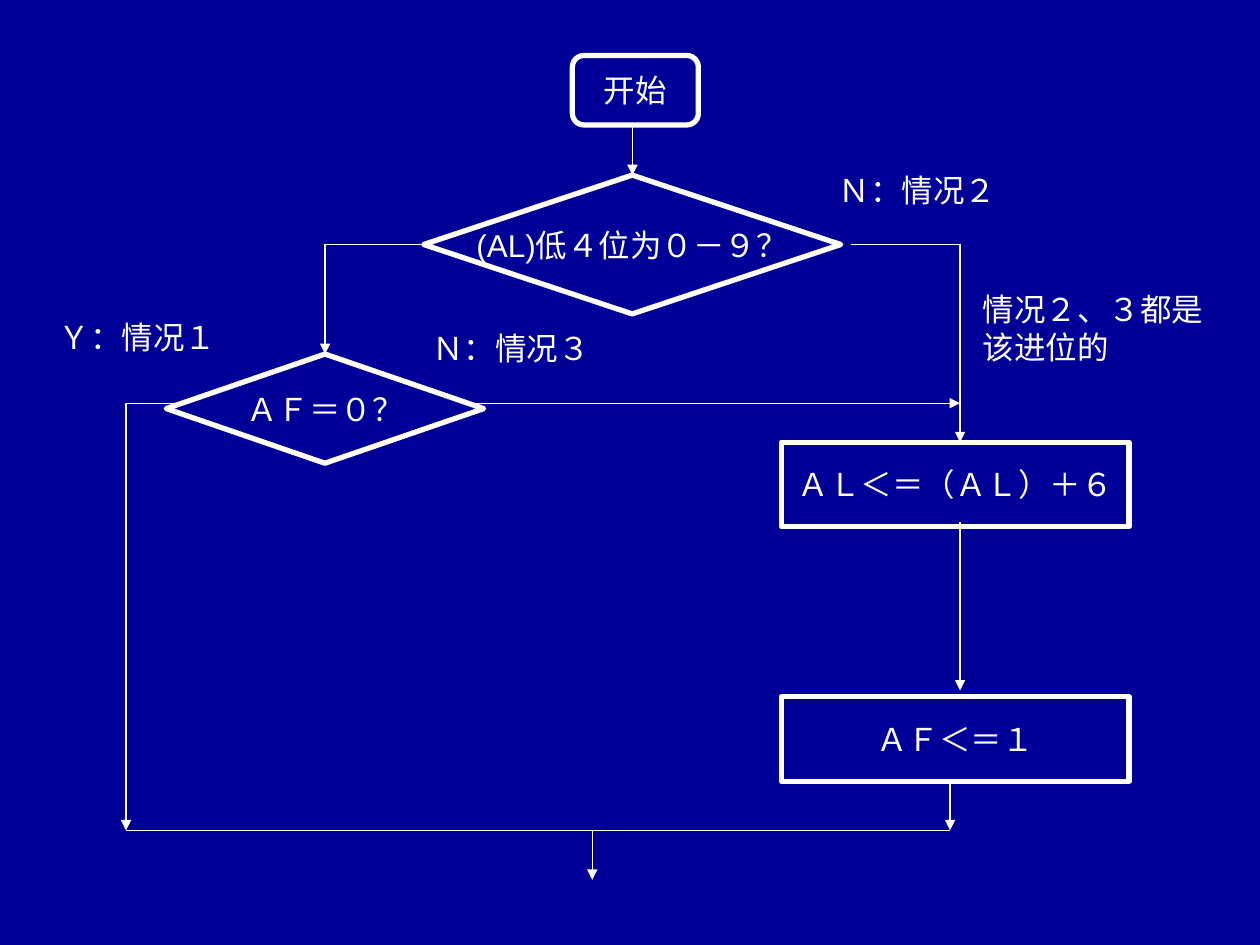
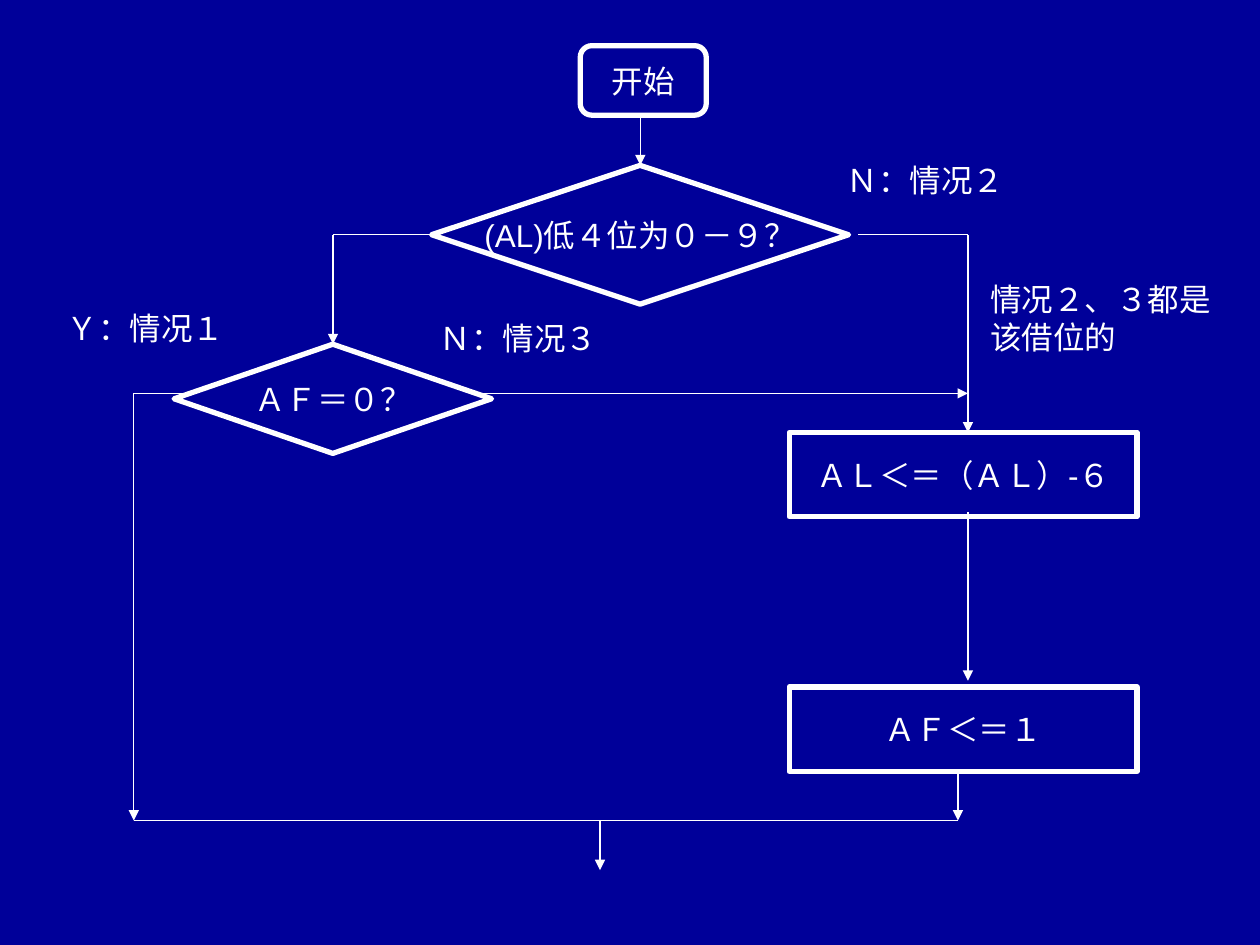
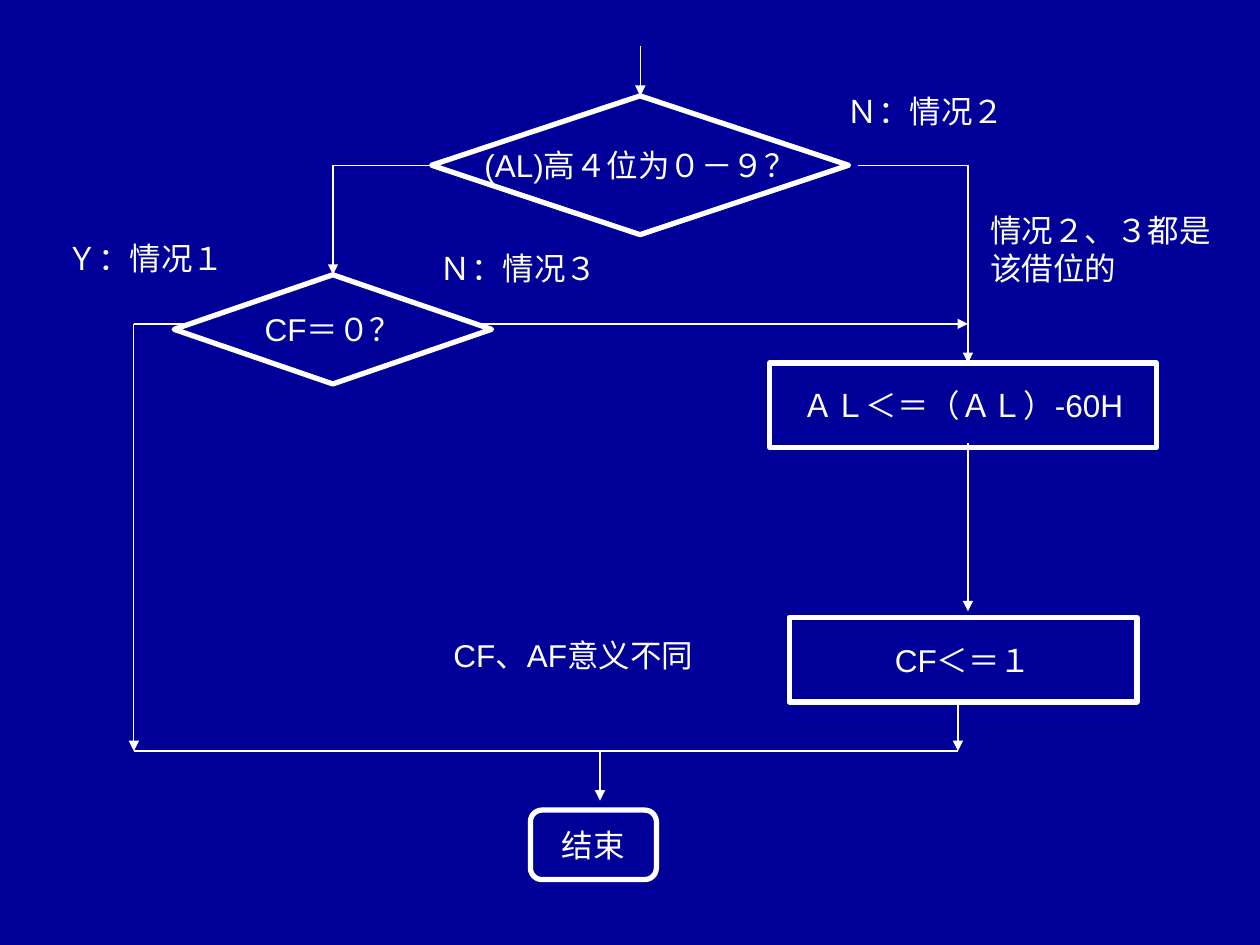
from dataclasses import dataclass
from typing import Any, NamedTuple

from lxml import etree
from pptx import Presentation
from pptx.dml.color import RGBColor
from pptx.enum.shapes import MSO_CONNECTOR, MSO_SHAPE
from pptx.enum.text import MSO_ANCHOR, MSO_AUTO_SIZE, PP_ALIGN
from pptx.oxml.ns import qn
from pptx.util import Pt

TERMINAL = MSO_SHAPE.FLOWCHART_ALTERNATE_PROCESS
DECISION = MSO_SHAPE.FLOWCHART_DECISION
PROCESS = MSO_SHAPE.FLOWCHART_PROCESS
STRAIGHT = MSO_CONNECTOR.STRAIGHT
MIDDLE, TOP = MSO_ANCHOR.MIDDLE, MSO_ANCHOR.TOP
CENTER, LEFT = PP_ALIGN.CENTER, PP_ALIGN.LEFT
FIT_SHAPE, FIXED = MSO_AUTO_SIZE.SHAPE_TO_FIT_TEXT, MSO_AUTO_SIZE.NONE
BLANK_LAYOUT = 6


@dataclass(frozen=True)
class Theme:
    background: RGBColor = RGBColor(0x00, 0x00, 0x99)
    ink: RGBColor = RGBColor(0xFF, 0xFF, 0xFF)
    font: str = "Arial"
    text_size: float = 18
    outline: float = 3
    arrow_line: float = 0.75


THEME = Theme()


class Node(NamedTuple):
    kind: MSO_SHAPE
    left: float
    top: float
    width: float
    height: float
    text: str


class Label(NamedTuple):
    left: float
    top: float
    width: float
    lines: tuple[str, ...]


class Route(NamedTuple):
    """A run of straight segments through points."""
    points: tuple[tuple[float, float], ...]
    arrow: bool = True


@dataclass(frozen=True)
class Flowchart:
    """The wording and placing of one decimal-adjust flowchart."""
    shift: tuple[float, float]
    digit_test: str
    flag_test: str
    adjust: str
    set_flag: str
    reason: str
    adjust_width: float = 198.7
    extra_nodes: tuple[Node, ...] = ()
    extra_labels: tuple[Label, ...] = ()


# Columns and rows shared by all the flowcharts
ENTRY_X, FLAG_X, ADJUST_X = 361.4, 185.8, 548.6
MERGE_LEFT, MERGE_RIGHT, EXIT_X = 72, 542.9, 338.4
DIGIT_TOP, DIGIT_Y, FLAG_TOP, FLAG_Y = 100.1, 139.7, 202.3, 230.4
ADJUST_TOP, SET_TOP, MERGE_Y = 252.7, 398.2, 474.5
BOX_WIDTH, BOX_HEIGHT, BOX_CENTER = 198.7, 48.2, 545.8
LABEL_WIDTH, LABEL_HEIGHT = 104.4, 28.8

ROUTES = (
    Route(((ENTRY_X, 71.4), (ENTRY_X, DIGIT_TOP))),
    Route(((241.9, DIGIT_Y), (FLAG_X, DIGIT_Y), (FLAG_X, FLAG_TOP))),
    Route(((486, DIGIT_Y), (ADJUST_X, DIGIT_Y), (ADJUST_X, ADJUST_TOP))),
    Route(((270.7, FLAG_Y), (ADJUST_X, FLAG_Y))),
    Route(((ADJUST_X, 298.3), (ADJUST_X, 394.6))),
    Route(((100.8, FLAG_Y), (MERGE_LEFT, FLAG_Y), (MERGE_LEFT, MERGE_Y))),
    Route(((MERGE_RIGHT, 445.8), (MERGE_RIGHT, MERGE_Y))),
    Route(((MERGE_RIGHT, MERGE_Y), (MERGE_LEFT, MERGE_Y)), arrow=False),
    Route(((EXIT_X, MERGE_Y), (EXIT_X, 502.8))),
)

START = Node(TERMINAL, 327.1, 31.7, 72, 39.7, "开始")
END = Node(TERMINAL, 298.6, 508.2, 72, 39.7, "结束")

FLOWCHARTS = (
    Flowchart((0, 0), "(AL)低４位为０－９？", "ＡＦ＝０？", "ＡＬ＜＝（ＡＬ）＋６",
              "ＡＦ＜＝１", "该进位的", extra_nodes=(START,)),
    Flowchart((4.5, -5.6), "(AL)低４位为０－９？", "ＡＦ＝０？", "ＡＬ＜＝（ＡＬ）-６",
              "ＡＦ＜＝１", "该借位的", extra_nodes=(START,)),
    Flowchart((4.5, -45.3), "(AL)高４位为０－９？", "CF＝０？", "ＡＬ＜＝（ＡＬ）-60H",
              "CF＜＝１", "该借位的", adjust_width=221, extra_nodes=(END,),
              extra_labels=(Label(247.5, 405.4, 164.2, ("CF、AF意义不同",)),)),
)


def apply(target: Any, values: dict[str, Any]) -> None:
    for name, value in values.items():
        setattr(target, name, value)


def write(box: Any, lines: tuple[str, ...], align: PP_ALIGN,
          anchor: MSO_ANCHOR, fit: MSO_AUTO_SIZE) -> None:
    frame = box.text_frame
    apply(frame, {"word_wrap": False, "auto_size": fit, "vertical_anchor": anchor,
                  "margin_left": Pt(7.2), "margin_right": Pt(7.2),
                  "margin_top": Pt(3.6), "margin_bottom": Pt(3.6)})
    for index, line in enumerate(lines):
        para = frame.add_paragraph() if index else frame.paragraphs[0]
        para.alignment = align
        span = para.add_run()
        span.text = line
        apply(span.font, {"name": THEME.font, "size": Pt(THEME.text_size)})
        span.font.color.rgb = THEME.ink


def draw_node(page: Any, node: Node, shift: tuple[float, float]) -> None:
    box = page.shapes.add_shape(node.kind, Pt(node.left + shift[0]), Pt(node.top + shift[1]),
                                Pt(node.width), Pt(node.height))
    box.shadow.inherit = False
    box.fill.background()
    box.line.color.rgb = THEME.ink
    box.line.width = Pt(THEME.outline)
    write(box, (node.text,), CENTER, MIDDLE, FIXED)


def draw_label(page: Any, label: Label, shift: tuple[float, float]) -> None:
    height = LABEL_HEIGHT + 21.6 * (len(label.lines) - 1)
    box = page.shapes.add_textbox(Pt(label.left + shift[0]), Pt(label.top + shift[1]),
                                  Pt(label.width), Pt(height))
    write(box, label.lines, LEFT, TOP, FIT_SHAPE)


def draw_route(page: Any, route: Route, shift: tuple[float, float]) -> None:
    points = [(Pt(x + shift[0]), Pt(y + shift[1])) for x, y in route.points]
    for begin, end in zip(points, points[1:]):
        line = page.shapes.add_connector(STRAIGHT, *begin, *end)
        line.line.color.rgb = THEME.ink
        line.line.width = Pt(THEME.arrow_line)
        if route.arrow and end == points[-1]:
            etree.SubElement(line.line._get_or_add_ln(), qn("a:tailEnd"), type="triangle")
        etree.SubElement(line._element.spPr, qn("a:effectLst"))


def draw_flowchart(page: Any, chart: Flowchart) -> None:
    # Branch labels
    labels = (
        Label(26.6, 178.4, LABEL_WIDTH, ("Ｙ：情况１",)),
        Label(472.3, 94.3, LABEL_WIDTH, ("Ｎ：情况２",)),
        Label(554.4, 162.2, 140.4, ("情况２、３都是", chart.reason)),
        Label(239.8, 184.3, LABEL_WIDTH, ("Ｎ：情况３",)),
    )
    for label in labels + chart.extra_labels:
        draw_label(page, label, chart.shift)

    # Tests and steps
    nodes = (
        Node(DECISION, 242.1, DIGIT_TOP, 238.3, 79.3, chart.digit_test),
        Node(DECISION, 95, FLAG_TOP, 181.4, 62.4, chart.flag_test),
        Node(PROCESS, BOX_CENTER - chart.adjust_width / 2, ADJUST_TOP,
             chart.adjust_width, BOX_HEIGHT, chart.adjust),
        Node(PROCESS, BOX_CENTER - BOX_WIDTH / 2, SET_TOP,
             BOX_WIDTH, BOX_HEIGHT, chart.set_flag),
    )
    for node in chart.extra_nodes + nodes:
        draw_node(page, node, chart.shift)

    # Connecting lines
    for route in ROUTES:
        draw_route(page, route, chart.shift)


def main() -> None:
    deck = Presentation()
    apply(deck, {"slide_width": Pt(720), "slide_height": Pt(540)})
    fill = deck.slide_master.background.fill
    fill.solid()
    fill.fore_color.rgb = THEME.background
    for chart in FLOWCHARTS:
        page = deck.slides.add_slide(deck.slide_layouts[BLANK_LAYOUT])
        draw_flowchart(page, chart)
    deck.save("out.pptx")


if __name__ == "__main__":
    main()
